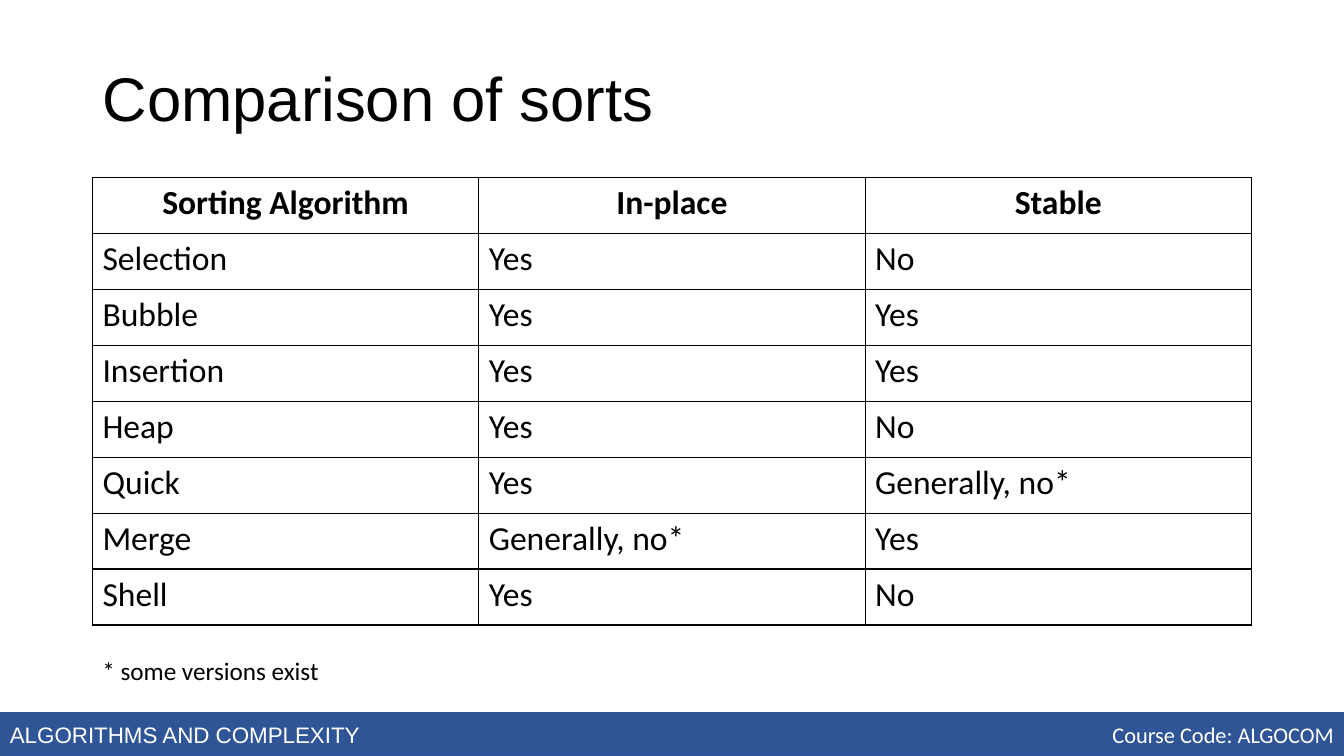
from lxml.etree import SubElement
from pptx import Presentation
from pptx.dml.color import RGBColor
from pptx.enum.shapes import MSO_SHAPE as Shape
from pptx.enum.text import MSO_ANCHOR as Anchor, PP_ALIGN as Align
from pptx.oxml.ns import qn
from pptx.util import Cm, Pt

TITLE = "Comparison of sorts"
SORTS = [
    ("Sorting Algorithm", "In-place", "Stable"),
    ("Selection", "Yes", "No"),
    ("Bubble", "Yes", "Yes"),
    ("Insertion", "Yes", "Yes"),
    ("Heap", "Yes", "No"),
    ("Quick", "Yes", "Generally, no*"),
    ("Merge", "Generally, no*", "Yes"),
    ("Shell", "Yes", "No"),
]
FOOTNOTE = "* some versions exist"
SUBJECT = "ALGORITHMS AND COMPLEXITY"
COURSE = "Course Code: ALGOCOM"
COLORS = {"text": "000000", "footer": "2F5597", "footer_line": "325491", "footer_text": "FFFFFF"}

WIDTH, HEIGHT = 33.87, 19.05
MARGIN = 2.33
CONTENT_WIDTH = WIDTH - 2 * MARGIN
TABLE_TOP, ROW_HEIGHT = 4.47, 1.41
FOOTER_HEIGHT = 1.1
FOOTER_TEXT_TOP, FOOTER_TEXT_HEIGHT = 18.04, 0.94
COURSE_WIDTH = 8.18


def color(name):
    return RGBColor.from_string(COLORS[name])


def style(paragraph, size, face="Calibri", ink="text", align=Align.LEFT, bold=False):
    paragraph.alignment = align
    font = paragraph.font
    font.size, font.name, font.bold = Pt(size), face, bold
    font.color.rgb = color(ink)


def add_label(slide, text, left, top, width, height, size, **look):
    frame = slide.shapes.add_textbox(Cm(left), Cm(top), Cm(width), Cm(height)).text_frame
    frame.word_wrap = True
    frame.text = text
    style(frame.paragraphs[0], size, **look)


def add_borders(cell):
    properties = cell._tc.get_or_add_tcPr()
    for side in ("lnL", "lnR", "lnT", "lnB"):
        border = SubElement(properties, qn(f"a:{side}"), w=str(Pt(1)))
        fill = SubElement(border, qn("a:solidFill"))
        SubElement(fill, qn("a:srgbClr"), val=COLORS["text"])


def add_title(slide):
    title = slide.shapes.title
    title.left, title.top = Cm(MARGIN), Cm(0.71)
    title.width, title.height = Cm(CONTENT_WIDTH), Cm(3.68)
    title.text_frame.text = TITLE
    title.text_frame.vertical_anchor = Anchor.MIDDLE
    heading = title.text_frame.paragraphs[0]
    heading.line_spacing = 0.9
    style(heading, 44, face="Arial")


def add_comparison(slide):
    table = slide.shapes.add_table(
        len(SORTS), len(SORTS[0]), Cm(MARGIN), Cm(TABLE_TOP),
        Cm(CONTENT_WIDTH), Cm(ROW_HEIGHT * len(SORTS))).table
    table.first_row = table.horz_banding = False
    for r, sort in enumerate(SORTS):
        for c, value in enumerate(sort):
            cell = table.cell(r, c)
            cell.text = value
            header = r == 0
            style(cell.text_frame.paragraphs[0], 24, bold=header,
                  align=Align.CENTER if header else Align.LEFT)
            add_borders(cell)
            cell.fill.background()


def add_footer(slide):
    footer = slide.shapes.add_shape(
        Shape.RECTANGLE, 0, Cm(HEIGHT - FOOTER_HEIGHT), Cm(WIDTH), Cm(FOOTER_HEIGHT))
    footer.shadow.inherit = False
    footer.fill.solid()
    footer.fill.fore_color.rgb = color("footer")
    footer.line.color.rgb = color("footer_line")
    footer.line.width = Pt(1)
    add_label(slide, SUBJECT, 0, FOOTER_TEXT_TOP, 10.06, FOOTER_TEXT_HEIGHT, 16,
              face="Arial", ink="footer_text")
    add_label(slide, COURSE, WIDTH - COURSE_WIDTH, FOOTER_TEXT_TOP, COURSE_WIDTH,
              FOOTER_TEXT_HEIGHT, 16, ink="footer_text", align=Align.RIGHT)


def main():
    deck = Presentation()
    deck.slide_width, deck.slide_height = Cm(WIDTH), Cm(HEIGHT)
    slide = deck.slides.add_slide(deck.slide_layouts[5])
    add_title(slide)
    add_comparison(slide)
    add_footer(slide)
    add_label(slide, FOOTNOTE, MARGIN, 16.38, 10, 1.02, 18)
    deck.save("out.pptx")


if __name__ == "__main__":
    main()
